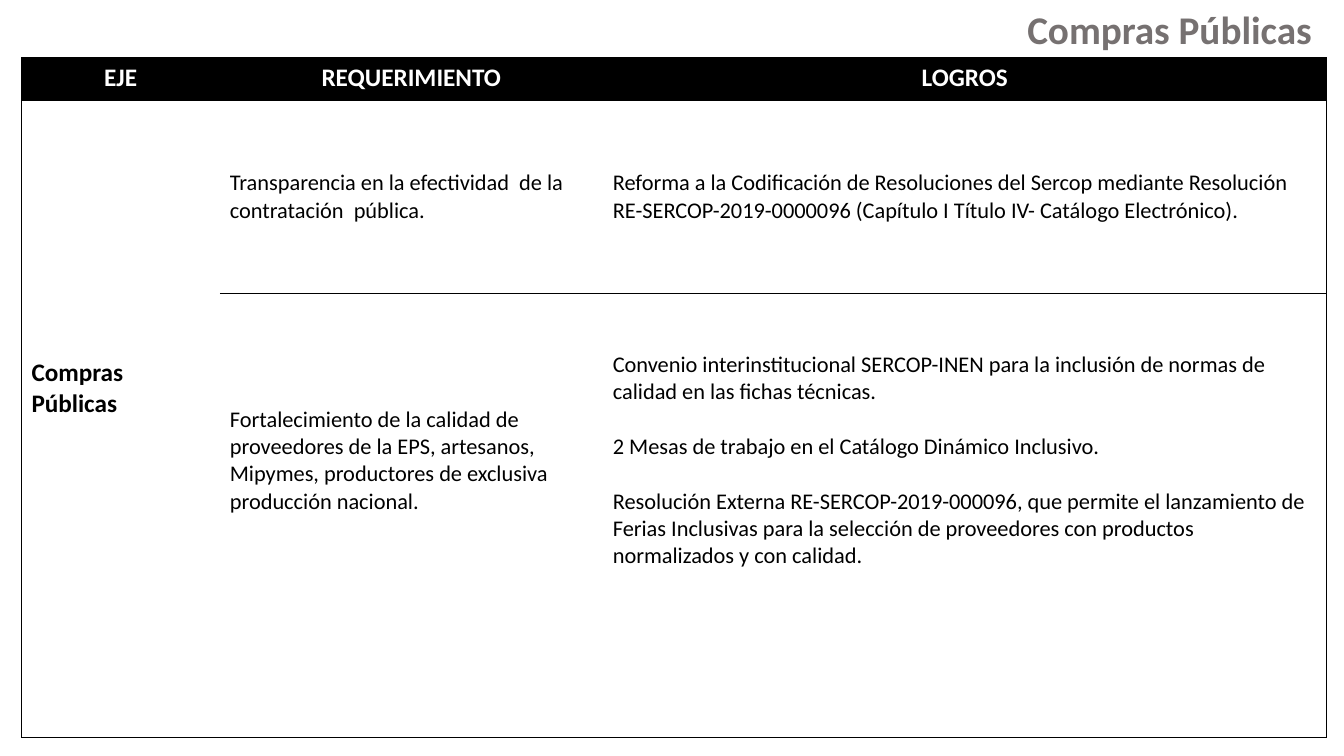
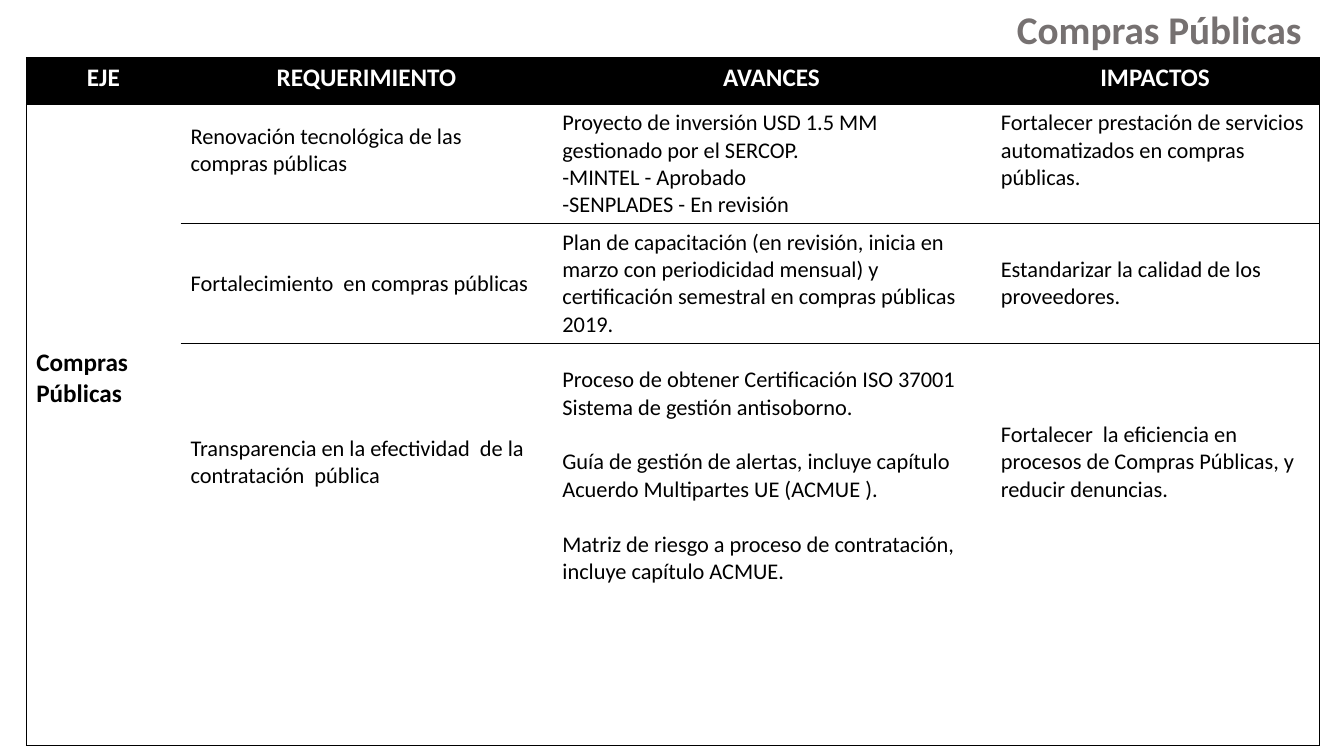
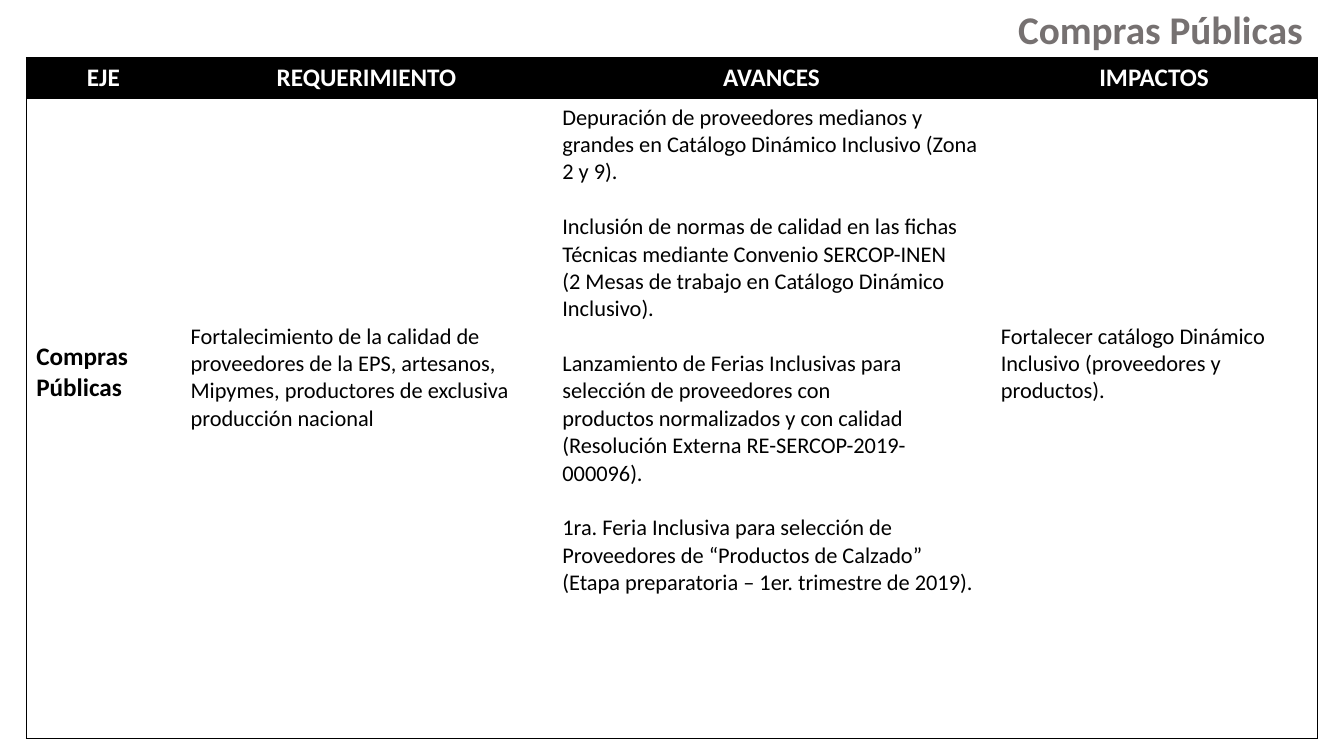
from lxml.etree import SubElement
from pptx import Presentation
from pptx.dml.color import RGBColor
from pptx.enum.text import MSO_ANCHOR, PP_ALIGN
from pptx.oxml.ns import qn
from pptx.util import Cm, Pt

BLACK, WHITE = RGBColor(0, 0, 0), RGBColor(255, 255, 255)
THEME = {
    "title": {"name": "Calibri", "size": Pt(28), "bold": True, "color": RGBColor(0x76, 0x71, 0x71)},
    "header": {"name": "Calibri", "size": Pt(18), "bold": True, "color": WHITE},
    "axis": {"name": "Calibri", "size": Pt(18), "bold": True, "color": BLACK},
    "body": {"name": "Calibri", "size": Pt(16), "bold": False, "color": BLACK},
    "header_fill": BLACK,
    "border_color": "000000",
    "border_width": Pt(0.5),
    "plain_table_style": "{2D5ABB26-0587-4C30-8999-92F81FD0307C}",
}
TITLE = "Compras Públicas"
AXIS = "Compras Públicas"
TABLE_TOP = 1.45
TITLE_WIDTH = 10.95
CELL_MARGIN = 0.13
LINE_PER_POINT = 0.043  # line height in cm for each point of type size

# A body cell holds its items and the number of lines kept free below them.
SLIDES = [
    {
        "left": 0.54,
        "title_right": 33.53,
        "columns": [5, 9.65, 18.24],
        "rows": [1.09, 4.85, 11.18],
        "header": ["EJE", "REQUERIMIENTO", "LOGROS"],
        "axis_free_lines": 2,
        "body": [
            [
                (["Transparencia en la efectividad  de la contratación  pública."], 0),
                (["Reforma a la Codificación de Resoluciones del Sercop mediante Resolución "
                  "RE-SERCOP-2019-0000096 (Capítulo I Título IV- Catálogo Electrónico)."], 0),
            ],
            [
                (["Fortalecimiento de la calidad de proveedores de la EPS, artesanos, "
                  "Mipymes, productores de exclusiva producción nacional."], 4),
                (["Convenio interinstitucional SERCOP-INEN para la inclusión de normas de "
                  "calidad en las fichas técnicas.",
                  "2 Mesas de trabajo en el Catálogo Dinámico Inclusivo.",
                  "Resolución Externa RE-SERCOP-2019-000096, que permite el lanzamiento de "
                  "Ferias Inclusivas para la selección de proveedores con productos "
                  "normalizados y con calidad."], 4),
            ],
        ],
    },
    {
        "left": 0.66,
        "title_right": 33.27,
        "columns": [3.89, 9.37, 11.05, 8.28],
        "rows": [1.18, 3, 3.03, 10.11],
        "header": ["EJE", "REQUERIMIENTO", "AVANCES", "IMPACTOS"],
        "axis_free_lines": 3,
        "body": [
            [
                (["Renovación tecnológica de las compras públicas"], 1),
                (["Proyecto de inversión USD 1.5 MM gestionado por el SERCOP.\n"
                  "-MINTEL - Aprobado\n-SENPLADES - En revisión"], 0),
                (["Fortalecer prestación de servicios automatizados en compras públicas."], 1),
            ],
            [
                (["Fortalecimiento  en compras públicas"], 0),
                (["Plan de capacitación (en revisión, inicia en marzo con periodicidad "
                  "mensual) y certificación semestral en compras públicas 2019."], 0),
                (["Estandarizar la calidad de los proveedores."], 0),
            ],
            [
                (["Transparencia en la efectividad  de la contratación  pública"], 6),
                (["Proceso de obtener Certificación ISO 37001\nSistema de gestión antisoborno.",
                  "Guía de gestión de alertas, incluye capítulo\nAcuerdo Multipartes UE (ACMUE ).",
                  "Matriz de riesgo a proceso de contratación,\nincluye capítulo ACMUE."], 5),
                (["Fortalecer  la eficiencia en procesos de Compras Públicas, y reducir "
                  "denuncias."], 6),
            ],
        ],
    },
    {
        "left": 0.66,
        "title_right": 33.3,
        "columns": [3.89, 9.37, 11.05, 8.23],
        "rows": [1.03, 16.13],
        "header": ["EJE", "REQUERIMIENTO", "AVANCES", "IMPACTOS"],
        "axis_free_lines": 3,
        "body": [
            [
                (["Fortalecimiento de la calidad de proveedores de la EPS, artesanos, "
                  "Mipymes, productores de exclusiva producción nacional"], 3),
                (["Depuración de proveedores medianos y\n"
                  "grandes en Catálogo Dinámico Inclusivo (Zona\n2 y 9).",
                  "Inclusión de normas de calidad en las fichas\n"
                  "Técnicas mediante Convenio SERCOP-INEN\n"
                  "(2 Mesas de trabajo en Catálogo Dinámico\nInclusivo).",
                  "Lanzamiento de Ferias Inclusivas para\nselección de proveedores con\n"
                  "productos normalizados y con calidad\n"
                  "(Resolución Externa RE-SERCOP-2019-\n000096).",
                  "1ra. Feria Inclusiva para selección de\n"
                  "Proveedores de “Productos de Calzado”\n"
                  "(Etapa preparatoria – 1er. trimestre de 2019)."], 5),
                (["Fortalecer catálogo Dinámico Inclusivo (proveedores y productos)."], 4),
            ],
        ],
    },
]


def write_text(text_frame, items, style, alignment=PP_ALIGN.LEFT):
    """Write each line as a paragraph, with one line of space between items."""
    text_frame.word_wrap = True
    paragraph = None
    for item in items:
        for line_index, line in enumerate(item.split("\n")):
            is_first = paragraph is None
            paragraph = text_frame.paragraphs[0] if is_first else text_frame.add_paragraph()
            paragraph.alignment = alignment
            if line_index == 0 and not is_first:
                paragraph.space_before = Cm(THEME[style]["size"].pt * LINE_PER_POINT)
            run = paragraph.add_run()
            run.text = line
            for attribute, value in THEME[style].items():
                if attribute == "color":
                    run.font.color.rgb = value
                else:
                    setattr(run.font, attribute, value)


def add_borders(cell, sides):
    for side in sides:
        line = SubElement(cell._tc.get_or_add_tcPr(), qn(f"a:ln{side}"),
                          w=str(THEME["border_width"]))
        fill = SubElement(line, qn("a:solidFill"))
        SubElement(fill, qn("a:srgbClr"), val=THEME["border_color"])


presentation = Presentation()
presentation.slide_width, presentation.slide_height = Cm(33.87), Cm(19.05)

for content in SLIDES:
    slide = presentation.slides.add_slide(presentation.slide_layouts[6])
    columns, rows = content["columns"], content["rows"]
    last_row, last_column = len(rows) - 1, len(columns) - 1

    table = slide.shapes.add_table(
        len(rows), len(columns), Cm(content["left"]), Cm(TABLE_TOP),
        Cm(sum(columns)), Cm(sum(rows))).table
    table._tbl.tblPr.find(qn("a:tableStyleId")).text = THEME["plain_table_style"]
    table.horz_banding = False
    for column, width in zip(table.columns, columns):
        column.width = Cm(width)
    for row, height in zip(table.rows, rows):
        row.height = Cm(height)
    if last_row > 1:
        table.cell(1, 0).merge(table.cell(last_row, 0))

    for row_index in range(len(rows)):
        for column_index in range(len(columns)):
            cell = table.cell(row_index, column_index)
            has_bottom = column_index > 0 or row_index in (0, last_row) or cell.is_merge_origin
            borders = {"L": column_index == 0, "R": column_index == last_column,
                       "T": row_index == 0, "B": has_bottom}
            add_borders(cell, [side for side, shown in borders.items() if shown])
            if row_index == 0:
                cell.fill.solid()
                cell.fill.fore_color.rgb = THEME["header_fill"]
                write_text(cell.text_frame, [content["header"][column_index]], "header",
                           PP_ALIGN.CENTER)
                continue
            cell.fill.background()
            if cell.is_spanned:
                continue
            if column_index == 0:
                items, free_lines, style = [AXIS], content["axis_free_lines"], "axis"
            else:
                items, free_lines = content["body"][row_index - 1][column_index - 1]
                style = "body"
            write_text(cell.text_frame, items, style)
            cell.vertical_anchor = MSO_ANCHOR.MIDDLE
            cell.margin_bottom = Cm(
                CELL_MARGIN + free_lines * THEME[style]["size"].pt * LINE_PER_POINT)

    title = slide.shapes.add_textbox(
        Cm(content["title_right"] - TITLE_WIDTH), Cm(0), Cm(TITLE_WIDTH), Cm(TABLE_TOP))
    title.text_frame.margin_right = Cm(0.47)
    write_text(title.text_frame, [TITLE], "title", PP_ALIGN.RIGHT)

presentation.save("out.pptx")
